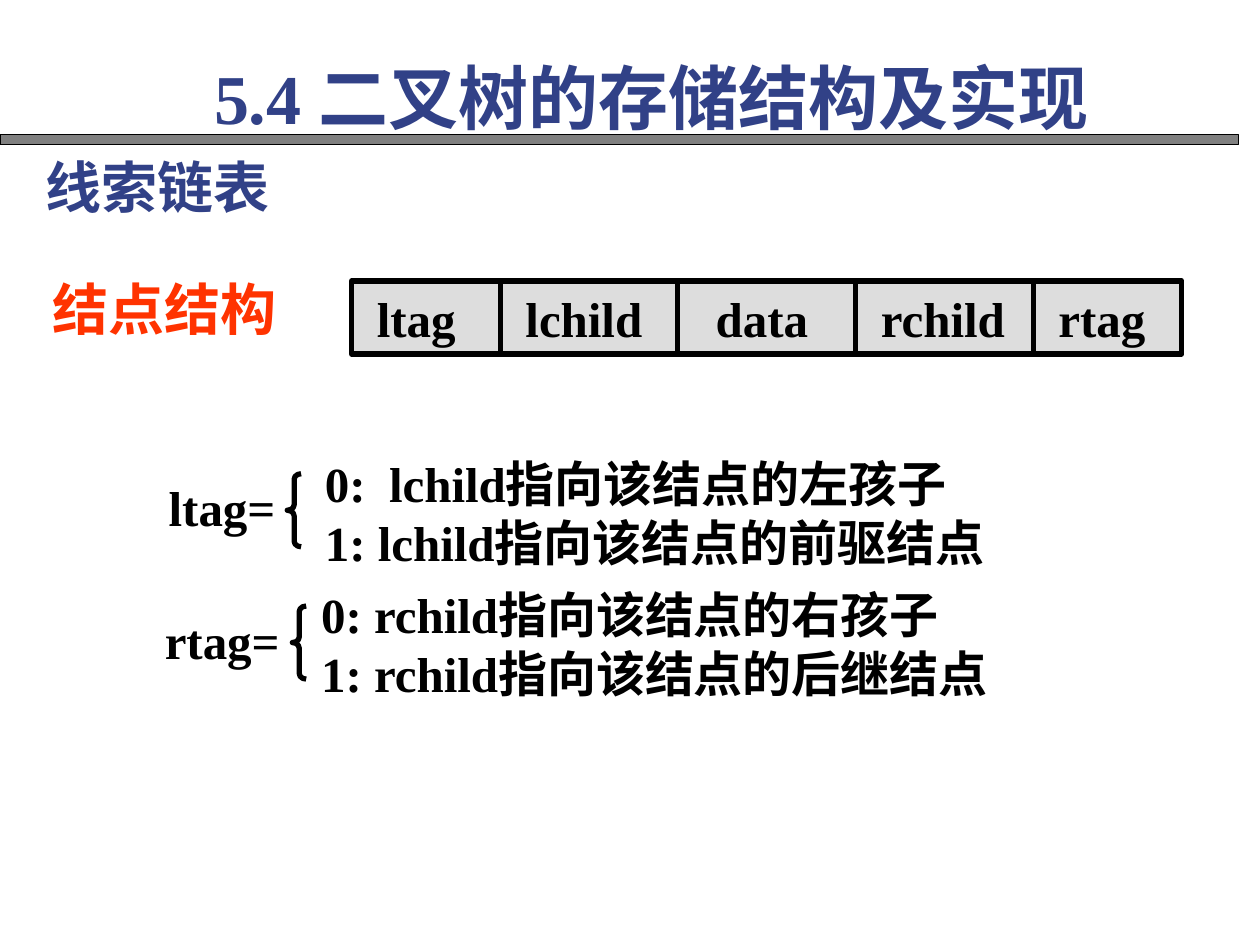
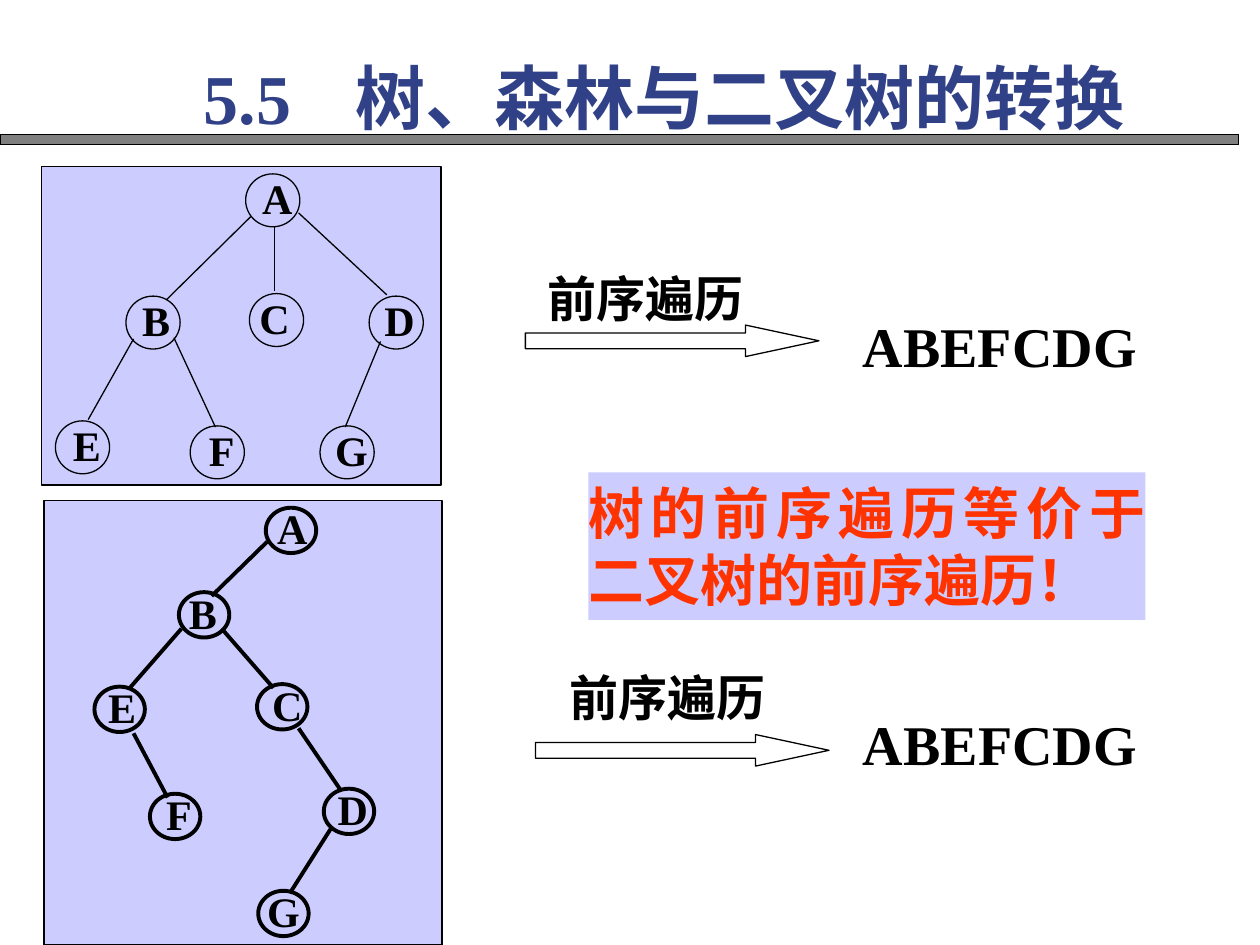
from pptx import Presentation
from pptx.dml.color import RGBColor
from pptx.enum.shapes import MSO_CONNECTOR, MSO_SHAPE
from pptx.enum.text import MSO_ANCHOR, PP_ALIGN
from pptx.oxml.ns import qn
from pptx.util import Inches, Pt
from lxml import etree

RECT = MSO_SHAPE.RECTANGLE
OVAL = MSO_SHAPE.OVAL
ARROW = MSO_SHAPE.RIGHT_ARROW
BRACE = MSO_SHAPE.LEFT_BRACE
LINE = MSO_CONNECTOR.STRAIGHT
TOP, MIDDLE = MSO_ANCHOR.TOP, MSO_ANCHOR.MIDDLE
LEFT, CENTER, JUST = PP_ALIGN.LEFT, PP_ALIGN.CENTER, PP_ALIGN.JUSTIFY
FONT = "Times New Roman"
BLACK, NAVY, RED = "000000", "314187", "FF3300"
GRAY, PALE, LILAC = "808080", "DDDDDD", "CCCCFF"
hue = RGBColor.from_string


def draw(slide, kind, box, fill=None, line=BLACK, width=0.75):
    shape = slide.shapes.add_shape(kind, *map(Inches, box))
    shape.shadow.inherit = False
    if fill:
        shape.fill.solid()
        shape.fill.fore_color.rgb = hue(fill)
    else:
        shape.fill.background()
    if line:
        shape.line.color.rgb = hue(line)
        shape.line.width = Pt(width)
    else:
        shape.line.fill.background()
    return shape


def write(shape, text, size, color=BLACK, align=LEFT, pads=(0.1, 0.05, 0.1, 0.05), anchor=TOP, tab=None):
    frame = shape.text_frame
    frame.word_wrap = True
    frame.vertical_anchor = anchor
    frame.margin_left, frame.margin_top, frame.margin_right, frame.margin_bottom = map(Inches, pads)
    frame.text = text
    for para in frame.paragraphs:
        para.alignment = align
        if tab:
            stops = etree.SubElement(para._p.get_or_add_pPr(), qn("a:tabLst"))
            etree.SubElement(stops, qn("a:tab"), pos=str(Inches(tab)), algn="l")
        for run in para.runs:
            run.font.name = FONT
            run.font.size = Pt(size)
            run.font.bold = True
            run.font.color.rgb = hue(color)


deck = Presentation()
deck.slide_width, deck.slide_height = Inches(10), Inches(7.5)
pages = []
for title, x, tab in [
    ("5.4 二叉树的存储结构及实现", 1.6, None),
    ("5.5\t树、森林与二叉树的转换", 1.52, 1.2),
]:
    page = deck.slides.add_slide(deck.slide_layouts[6])
    draw(page, RECT, (0, 1.07, 9.83, 0.08), GRAY)
    head = page.shapes.add_textbox(Inches(x), Inches(0.38), Inches(7.71), Inches(0.77))
    write(head, title, 40, NAVY, JUST, tab=tab)
    pages.append(page)
links, trees = pages

left = 2.79
for field, width, pad in [
    ("ltag", 1.18, 0.2),
    ("lchild", 1.41, 0.2),
    ("data", 1.41, 0.3),
    ("rchild", 1.41, 0.2),
    ("rtag", 1.18, 0.2),
]:
    cell = draw(links, RECT, (left, 2.23, width, 0.58), PALE, width=3)
    write(cell, field, 28, align=JUST, pads=(pad, 0.01, 0.1, 0.01), anchor=MIDDLE)
    left += width

for x, y in [(2.28, 3.76), (2.32, 4.81)]:
    brace = draw(links, BRACE, (x, y, 0.11, 0.58), width=3)
    brace.adjustments[0] = 0.4

for page, text, box, size, color, align, tab in [
    (links, "线索链表", (0.26, 1.16, 3.67, 0.64), 32, NAVY, LEFT, None),
    (links, "结点结构", (0.32, 2.13, 2.28, 0.64), 32, RED, LEFT, None),
    (links, "ltag=", (1.24, 3.74, 1.19, 0.57), 28, BLACK, LEFT, None),
    (links, "rtag=", (1.21, 4.8, 1.17, 0.57), 28, BLACK, LEFT, None),
    (links, "0:\tlchild指向该结点的左孩子\n1: lchild指向该结点的前驱结点",
     (2.48, 3.55, 6.07, 0.83), 28, BLACK, JUST, 0.51),
    (links, "0: rchild指向该结点的右孩子\n1: rchild指向该结点的后继结点",
     (2.45, 4.59, 6.42, 0.79), 28, BLACK, JUST, None),
    (trees, "前序遍历", (4.25, 2.08, 1.92, 0.57), 28, BLACK, LEFT, None),
    (trees, "前序遍历", (4.42, 5.25, 1.83, 0.57), 28, BLACK, LEFT, None),
    (trees, "ABEFCDG", (6.75, 2.42, 2.67, 0.64), 32, BLACK, LEFT, None),
    (trees, "ABEFCDG", (6.75, 5.58, 2.58, 0.64), 32, BLACK, LEFT, None),
]:
    label = page.shapes.add_textbox(*map(Inches, box))
    write(label, text, size, color, align, tab=tab)

for x, y in [(4.17, 2.58), (4.25, 5.83)]:
    arrow = draw(trees, ARROW, (x, y, 2.33, 0.25))
    arrow.adjustments[0], arrow.adjustments[1] = 0.5, 2.33

note = draw(trees, RECT, (4.67, 3.75, 4.42, 1.17), LILAC, None)
write(note, "树的前序遍历等价于二叉树的前序遍历！", 32, RED, JUST, (0, 0.05, 0, 0.05))

wide = {
    "panel": (0.33, 1.32, 3.17, 2.53), "weight": 0.75,
    "oval": (0.43, 0.42), "label": (0.36, 0.5), "rise": 0.08,
    "pads": (0.04, 0.07, 0.04, 0.01),
    "nodes": [
        ("A", 1.95, 1.38, 0.07), ("B", 1, 2.35, 0.06), ("C", 1.98, 2.33, 0.02),
        ("D", 2.93, 2.35, 0.06), ("E", 0.44, 3.34, 0.07), ("F", 1.51, 3.38, 0.07),
        ("G", 2.54, 3.38, 0.07),
    ],
    "edges": [
        (1.99, 1.72, 1.32, 2.38), (2.18, 1.8, 2.18, 2.31), (2.37, 1.69, 3.07, 2.34),
        (1.06, 2.69, 0.7, 3.33), (1.38, 2.68, 1.71, 3.39), (3.02, 2.71, 2.74, 3.39),
    ],
}
pair = {
    "panel": (0.35, 3.97, 3.16, 3.53), "weight": 2.25,
    "oval": (0.4, 0.36), "label": (0.34, 0.44), "rise": 0.07,
    "pads": (0.02, 0.03, 0.02, 0.01),
    "nodes": [
        ("A", 2.11, 4.03, 0.04), ("B", 1.42, 4.7, 0.02), ("C", 2.04, 5.43, 0.07),
        ("D", 2.57, 6.26, 0.06), ("E", 0.75, 5.45, 0.05), ("F", 1.19, 6.3, 0.06),
        ("G", 2.05, 7.07, 0.03),
    ],
    "edges": [
        (2.12, 4.3, 1.68, 4.73), (1.44, 4.99, 1.03, 5.46), (1.76, 4.99, 2.17, 5.46),
        (1.06, 5.82, 1.33, 6.33), (2.37, 5.78, 2.71, 6.28), (2.63, 6.57, 2.3, 7.09),
    ],
}
for tree in (wide, pair):
    draw(trees, RECT, tree["panel"], LILAC)
    for name, x, y, shift in tree["nodes"]:
        box = (x + shift, y - tree["rise"], *tree["label"])
        label = trees.shapes.add_textbox(*map(Inches, box))
        write(label, name, 24, align=CENTER, pads=tree["pads"])
        draw(trees, OVAL, (x, y, *tree["oval"]), width=tree["weight"])
    for ends in tree["edges"]:
        edge = trees.shapes.add_connector(LINE, *map(Inches, ends))
        edge.line.color.rgb = hue(BLACK)
        edge.line.width = Pt(tree["weight"])
        etree.SubElement(edge._element.spPr, qn("a:effectLst"))

deck.save("out.pptx")
